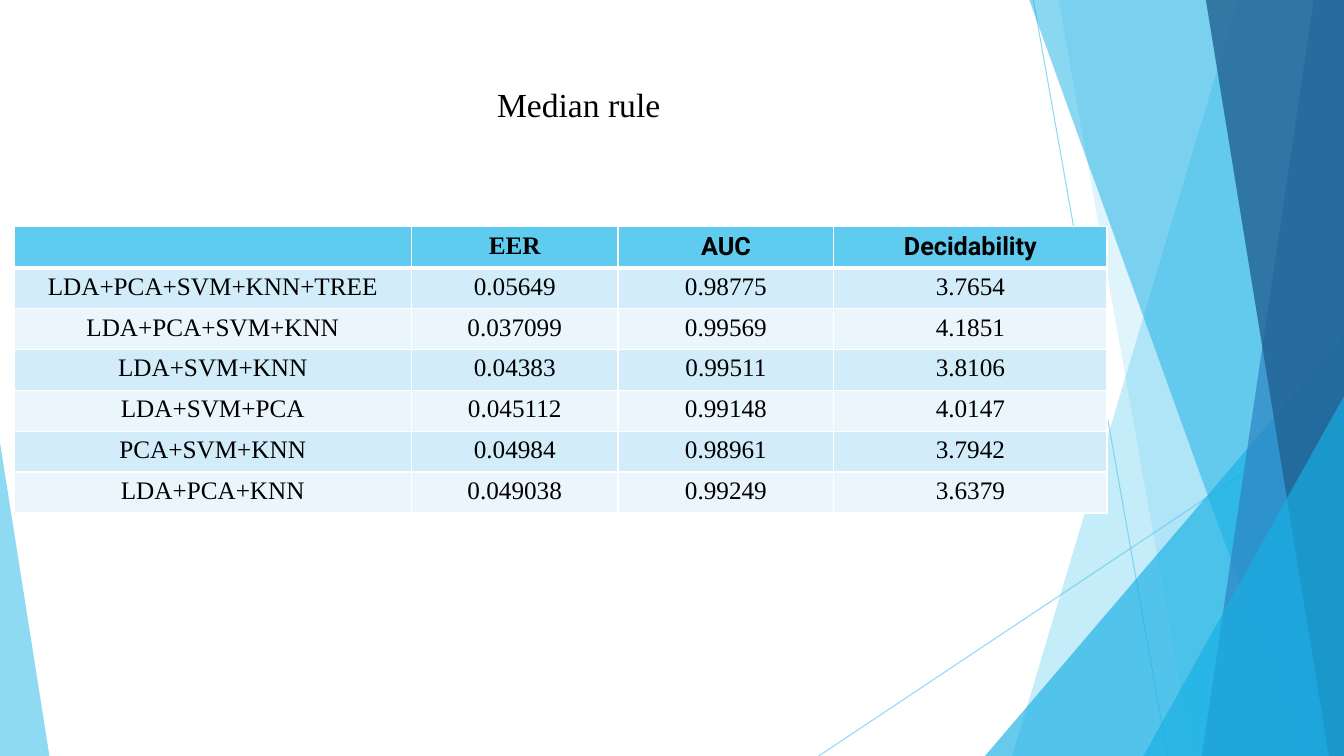
from dataclasses import dataclass

from lxml.etree import SubElement
from pptx import Presentation
from pptx.dml.color import RGBColor
from pptx.enum.shapes import MSO_CONNECTOR, MSO_SHAPE
from pptx.enum.text import MSO_ANCHOR, MSO_AUTO_SIZE, PP_ALIGN
from pptx.oxml.ns import qn
from pptx.util import Inches, Pt

WIDTH, HEIGHT = 13.33, 7.5
SERIF, SANS = "Times New Roman", "Roboto"
COLORS = {
    "sky": "5FCBEF",
    "cyan": "17B0E4",
    "blue": "2E83C3",
    "navy": "226292",
    "band_dark": "D2ECF9",
    "band_light": "EAF6FC",
    "white": "FFFFFF",
    "black": "000000",
}


@dataclass(frozen=True)
class Ray:
    x1: float
    y1: float
    x2: float
    y2: float


@dataclass(frozen=True)
class Panel:
    top_x: float
    bottom_x: float
    color: str
    opacity: int


@dataclass(frozen=True)
class Wedge:
    left: float
    top: float
    width: float
    apex: float
    color: str
    opacity: int


DECOR = [
    Ray(76.89, 0, 86.87, 100),
    Ray(100, 53.73, 60.92, 100),
    Panel(92.12, 75.32, "sky", 36),
    Panel(78.77, 88.75, "sky", 20),
    Wedge(73.29, 44.4, 26.71, 1, "cyan", 66),
    Panel(76.59, 96.85, "cyan", 50),
    Panel(97.75, 89.42, "blue", 70),
    Panel(89.72, 98.87, "navy", 80),
    Wedge(85.07, 52.4, 14.93, 1, "cyan", 66),
    Wedge(0, 58.53, 3.68, 0, "sky", 70),
]

TABLE_LEFT, TABLE_TOP, ROW_HEIGHT = 1.05, 30, 5.41
COLUMNS = [29.56, 15.38, 16.05, 20.33]
HEADER_FONTS = [SERIF, SERIF, SANS, SANS]
ROWS = [
    ["", "EER", "AUC", "Decidability"],
    ["LDA+PCA+SVM+KNN+TREE", "0.05649", "0.98775", "3.7654"],
    ["LDA+PCA+SVM+KNN", "0.037099", "0.99569", "4.1851"],
    ["LDA+SVM+KNN", "0.04383", "0.99511", "3.8106"],
    ["LDA+SVM+PCA", "0.045112", "0.99148", "4.0147"],
    ["PCA+SVM+KNN", "0.04984", "0.98961", "3.7942"],
    ["LDA+PCA+KNN", "0.049038", "0.99249", "3.6379"],
]


def px(percent: float) -> int:
    return Inches(WIDTH * percent / 100)


def py(percent: float) -> int:
    return Inches(HEIGHT * percent / 100)


def rgb(name: str) -> RGBColor:
    return RGBColor.from_string(COLORS[name])


def set_opacity(sp, opacity: int) -> None:
    for color in sp._element.spPr.iter(qn("a:srgbClr")):
        SubElement(color, qn("a:alpha"), val=str(opacity * 1000))


def paint(sp, color: str, opacity: int) -> None:
    sp.shadow.inherit = False
    sp.fill.solid()
    sp.fill.fore_color.rgb = rgb(color)
    sp.line.fill.background()
    set_opacity(sp, opacity)


def draw_ray(shapes, ray: Ray) -> None:
    line = shapes.add_connector(
        MSO_CONNECTOR.STRAIGHT, px(ray.x1), py(ray.y1), px(ray.x2), py(ray.y2)
    )
    line.line.color.rgb = rgb("sky")
    line.line.width = Pt(0.75)
    set_opacity(line, 70)
    SubElement(line._element.spPr, qn("a:effectLst"))


def draw_panel(shapes, panel: Panel) -> None:
    builder = shapes.build_freeform(px(panel.top_x), 0)
    corners = [(px(100), 0), (px(100), py(100)), (px(panel.bottom_x), py(100))]
    builder.add_line_segments(corners, close=True)
    paint(builder.convert_to_shape(), panel.color, panel.opacity)


def draw_wedge(shapes, wedge: Wedge) -> None:
    sp = shapes.add_shape(
        MSO_SHAPE.ISOSCELES_TRIANGLE,
        px(wedge.left), py(wedge.top), px(wedge.width), py(100 - wedge.top),
    )
    sp.adjustments[0] = wedge.apex
    paint(sp, wedge.color, wedge.opacity)


def draw_title(title, text: str) -> None:
    title.left, title.top = px(36.23), py(10.4)
    title.width, title.height = px(13.8), py(6.67)
    tf = title.text_frame
    tf.text = text
    tf.word_wrap = False
    tf.auto_size = MSO_AUTO_SIZE.NONE
    tf.vertical_anchor = MSO_ANCHOR.TOP
    p = tf.paragraphs[0]
    p.alignment = PP_ALIGN.LEFT
    p.line_spacing = 1.0
    p.font.name, p.font.size = SERIF, Pt(24)
    p.font.color.rgb = rgb("black")


def set_borders(cell, widths: dict[str, int]) -> None:
    tc_pr = cell._tc.get_or_add_tcPr()
    for i, (side, width) in enumerate(widths.items()):
        ln = SubElement(tc_pr, qn(f"a:ln{side}"), w=str(Pt(width)))
        fill = SubElement(ln, qn("a:solidFill"))
        SubElement(fill, qn("a:srgbClr"), val=COLORS["white"])
        tc_pr.insert(i, ln)


def draw_cell(cell, text: str, fill: str, font: str, header: bool, below_header: bool) -> None:
    cell.fill.solid()
    cell.fill.fore_color.rgb = rgb(fill)
    top, bottom = (3 if below_header else 1), (3 if header else 1)
    set_borders(cell, {"L": 1, "R": 1, "T": top, "B": bottom})
    cell.text = text
    p = cell.text_frame.paragraphs[0]
    p.alignment = PP_ALIGN.CENTER
    p.font.name, p.font.size, p.font.bold = font, Pt(18), header
    p.font.color.rgb = rgb("black")


def draw_table(shapes) -> None:
    table = shapes.add_table(
        len(ROWS), len(COLUMNS), px(TABLE_LEFT), py(TABLE_TOP),
        px(sum(COLUMNS)), py(ROW_HEIGHT * len(ROWS)),
    ).table
    for column, width in zip(table.columns, COLUMNS):
        column.width = px(width)
    for r, values in enumerate(ROWS):
        table.rows[r].height = py(ROW_HEIGHT)
        header = r == 0
        fill = "sky" if header else ("band_dark" if r % 2 else "band_light")
        for c, text in enumerate(values):
            font = HEADER_FONTS[c] if header else SERIF
            draw_cell(table.cell(r, c), text, fill, font, header, r == 1)


def main() -> None:
    prs = Presentation()
    prs.slide_width, prs.slide_height = Inches(WIDTH), Inches(HEIGHT)
    s = prs.slides.add_slide(prs.slide_layouts[5])
    draw = {Ray: draw_ray, Panel: draw_panel, Wedge: draw_wedge}
    for item in DECOR:
        draw[type(item)](s.shapes, item)
    draw_table(s.shapes)
    draw_title(s.shapes.title, "Median rule")
    prs.save("out.pptx")


if __name__ == "__main__":
    main()
